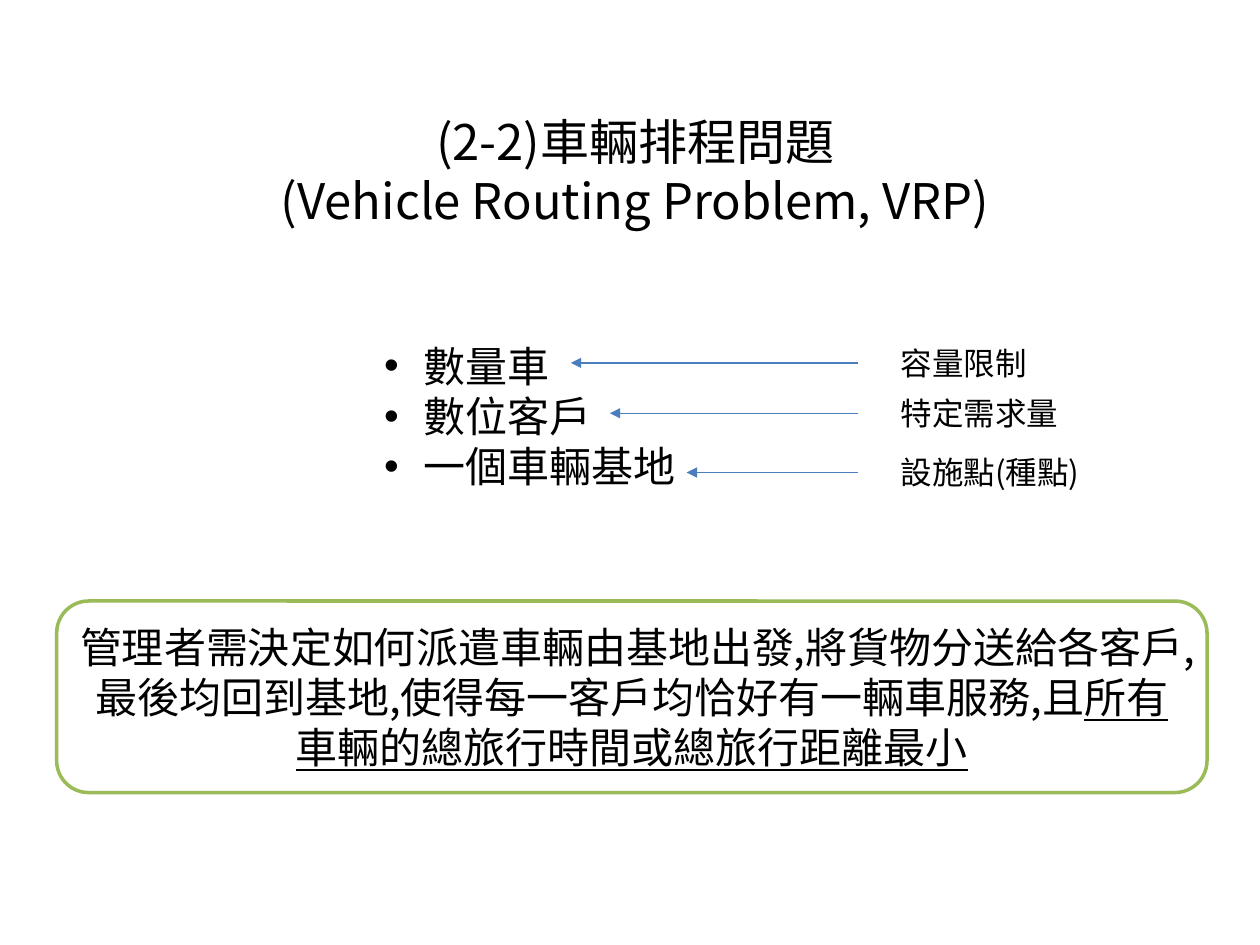
from dataclasses import dataclass

from pptx import Presentation
from pptx.dml.color import RGBColor
from pptx.enum.shapes import MSO_CONNECTOR as Connector, MSO_SHAPE as Preset
from pptx.enum.text import MSO_ANCHOR as Anchor, PP_ALIGN as Align
from pptx.oxml.ns import qn
from pptx.util import Inches, Pt
from lxml.etree import SubElement


@dataclass(frozen=True)
class Theme:
    font: str = "Noto Sans CJK SC"
    text: RGBColor = RGBColor(0, 0, 0)
    panel: RGBColor = RGBColor(255, 255, 255)
    border: RGBColor = RGBColor(0x9B, 0xBB, 0x59)
    arrow: RGBColor = RGBColor(0x4B, 0x7E, 0xBC)
    title_size: int = 28
    body_size: int = 24
    label_size: int = 18


THEME = Theme()


def add_run(paragraph, text, size, underline=False):
    run = paragraph.add_run()
    run.text = text
    font = run.font
    font.name = THEME.font
    font.size = Pt(size)
    font.color.rgb = THEME.text
    if underline:
        font.underline = True
    SubElement(font._element, qn("a:ea"), typeface=THEME.font)


def set_bullet(paragraph, indent=0.31):
    properties = paragraph._p.get_or_add_pPr()
    properties.set("marL", str(Inches(indent)))
    properties.set("indent", str(-Inches(indent)))
    SubElement(properties, qn("a:buFont"), typeface="Arial")
    SubElement(properties, qn("a:buChar"), char="•")


def write_text(shape, paragraphs, size, align=Align.LEFT, anchor=Anchor.TOP, bullet=False, emphasis=None):
    frame = shape.text_frame
    frame.word_wrap = True
    frame.vertical_anchor = anchor
    for index, text in enumerate(paragraphs):
        paragraph = frame.add_paragraph() if index else frame.paragraphs[0]
        paragraph.alignment = align
        if bullet:
            set_bullet(paragraph)
        for number, line in enumerate(text.split("\n")):
            if number:
                paragraph.add_line_break()
            add_run(paragraph, line, size)
    if emphasis:
        add_run(paragraph, emphasis, size, underline=True)


def add_text(slide, box, paragraphs, size, **text_format):
    shape = slide.shapes.add_textbox(*map(Inches, box))
    write_text(shape, paragraphs, size, **text_format)


def add_arrow(slide, start, end, y):
    arrow = slide.shapes.add_connector(
        Connector.STRAIGHT, Inches(start), Inches(y), Inches(end), Inches(y)
    )
    arrow.line.color.rgb = THEME.arrow
    arrow.line.width = Pt(0.75)
    SubElement(arrow.line._get_or_add_ln(), qn("a:tailEnd"), type="triangle")
    SubElement(arrow._element.spPr, qn("a:effectLst"))


def add_title(slide, box):
    add_text(
        slide, box, ["(2-2)車輛排程問題\n(Vehicle Routing Problem, VRP)"],
        THEME.title_size, align=Align.CENTER, anchor=Anchor.MIDDLE,
    )


def add_elements(slide, box):
    left, top, width, height = box
    rows = [
        ("數量車", "容量限制", 1.58, 0.23, 1.21),
        ("數位客戶", "特定需求量", 1.89, 0.63, 1.46),
        ("一個車輛基地", "設施點(種點)", 2.5, 1.1, 1.72),
    ]
    add_text(slide, (left, top, 2.54, height), [row[0] for row in rows], THEME.body_size, bullet=True)
    label_left = left + width - 1.72
    for _, label, tip, middle, label_width in rows:
        y = top + middle
        add_arrow(slide, label_left - 0.24, left + tip, y)
        add_text(slide, (label_left, y - 0.2, label_width, 0.4), [label], THEME.label_size)


def add_objective(slide, box):
    panel = slide.shapes.add_shape(Preset.ROUNDED_RECTANGLE, *map(Inches, box))
    panel.shadow.inherit = False
    panel.fill.solid()
    panel.fill.fore_color.rgb = THEME.panel
    panel.line.color.rgb = THEME.border
    panel.line.width = Pt(2)
    write_text(
        panel,
        ["管理者需決定如何派遣車輛由基地出發,將貨物分送給各客戶,最後均回到基地,使得每一客戶均恰好有一輛車服務,且"],
        THEME.body_size, align=Align.CENTER, anchor=Anchor.MIDDLE,
        emphasis="所有車輛的總旅行時間或總旅行距離最小",
    )


def main():
    presentation = Presentation()
    presentation.slide_width = Inches(10)
    presentation.slide_height = Inches(7.5)
    slide = presentation.slides.add_slide(presentation.slide_layouts[6])
    add_title(slide, (0.04, 0.6, 10, 1.5))
    add_elements(slide, (2.95, 2.65, 5.82, 1.31))
    add_objective(slide, (0.45, 4.77, 9.13, 1.52))
    presentation.save("out.pptx")


if __name__ == "__main__":
    main()
